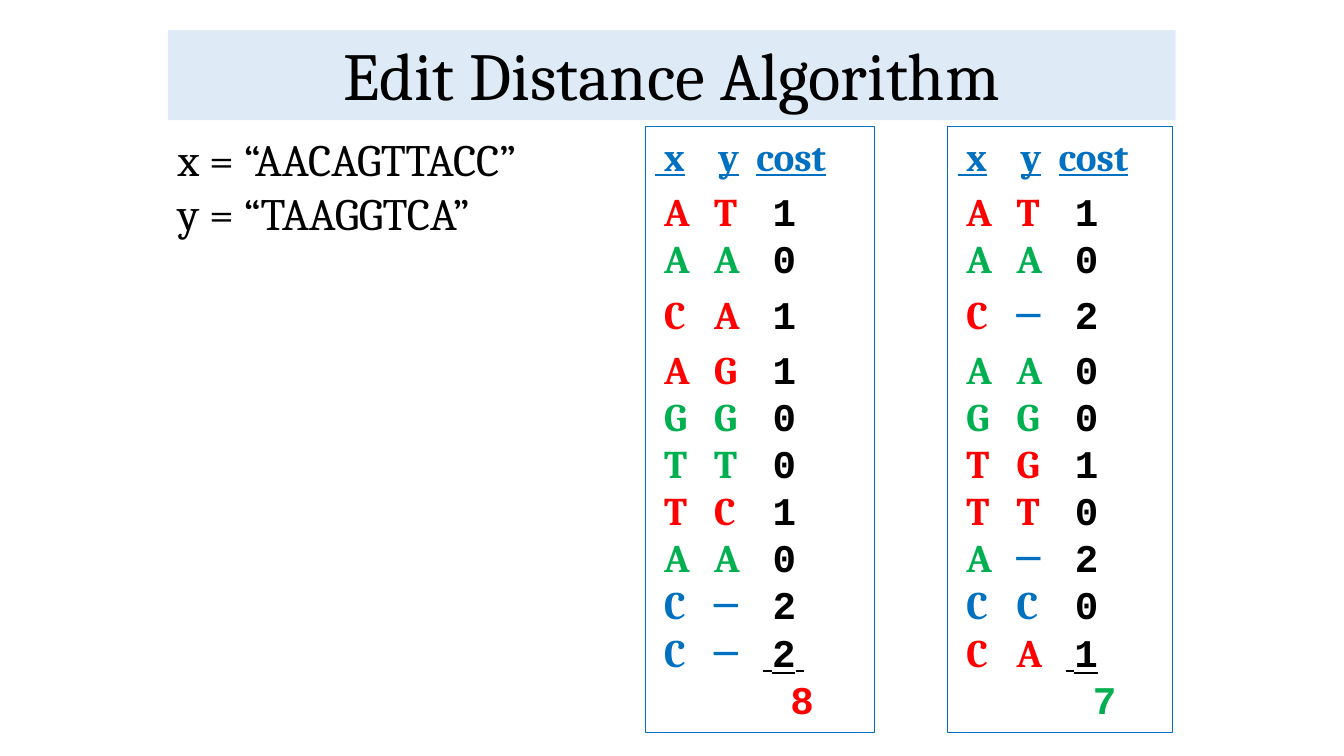
from dataclasses import dataclass
from lxml import etree
from pptx import Presentation
from pptx import util as u
from pptx.dml.color import RGBColor as Rgb
from pptx.enum import shapes, text
from pptx.oxml.ns import qn


@dataclass(frozen=True)
class Theme:
    serif: str = "Cambria"
    mono: str = "Courier New"
    sans: str = "Roboto"
    title: int = 48
    body: int = 32
    cell: int = 28
    black: str = "000000"
    blue: str = "0070C0"
    red: str = "FF0000"
    green: str = "00B050"
    band: str = "DEEBF7"


T = Theme()
GAP = "─"
HUES = {"r": T.red, "g": T.green, "b": T.blue}

# Tab stops in cm: y and cost columns for each kind of row
HEAD = (1.59, 2.54)
ROW = (1.48, 2.95)
LAST = (1.48, 2.72)
SUM = (3.4,)

# x, y, cost and colour of each step
LEFT = "AT1r AA0g CA1r AG1r GG0g TT0g TC1r AA0g C─2b C─2b".split()
RIGHT = "AT1r AA0g C─2r AA0g GG0g TG1r TT0r A─2g CC0b CA1r".split()
SPACED = (0, 2, 3)  # steps with space above


def style(font, size=None, name=None, hue=None, bold=None, line=None):
    if size:
        font.size = u.Pt(size)
    if name:
        font.name = name
    if hue:
        font.color.rgb = Rgb.from_string(hue)
    if bold is not None:
        font.bold = bold
    if line is not None:
        font.underline = line


def add_run(para, words, name, hue, line=None):
    run = para.add_run()
    run.text = words
    style(run.font, name=name, hue=hue, line=line)


def set_tabs(para, stops):
    tabs = etree.SubElement(para._p.get_or_add_pPr(), qn("a:tabLst"))
    for stop in stops:
        etree.SubElement(tabs, qn("a:tab"), pos=str(u.Cm(stop)), algn="l")


def add_title(slide, x, y, w, h):
    band = slide.shapes.add_shape(shapes.MSO_SHAPE.RECTANGLE,
                                  u.Cm(x), u.Cm(y), u.Cm(w), u.Cm(h))
    band.shadow.inherit = False
    band.fill.solid()
    band.fill.fore_color.rgb = Rgb.from_string(T.band)
    band.line.fill.background()
    frame = band.text_frame
    frame.word_wrap = True
    frame.vertical_anchor = text.MSO_ANCHOR.BOTTOM
    para = frame.paragraphs[0]
    para.text = "Edit Distance Algorithm"
    para.alignment = text.PP_ALIGN.CENTER
    para.line_spacing = 0.9
    style(para.font, T.title, T.serif, T.black)


def add_words(slide, x, y, w, h):
    box = slide.shapes.add_textbox(u.Cm(x), u.Cm(y), u.Cm(w), u.Cm(h))
    frame = box.text_frame
    frame.word_wrap = True
    frame.text = "x = “AACAGTTACC”\ny = “TAAGGTCA”"
    for para in frame.paragraphs:
        style(para.font, T.body, T.serif, T.black)


def add_costs(slide, x, y, w, h, steps, tail, total, hue):
    box = slide.shapes.add_textbox(u.Cm(x), u.Cm(y), u.Cm(w), u.Cm(h))
    box.line.color.rgb = Rgb.from_string(T.blue)
    box.line.width = u.Pt(0.75)
    frame = box.text_frame
    frame.word_wrap = True
    frame.auto_size = text.MSO_AUTO_SIZE.SHAPE_TO_FIT_TEXT

    # Heading
    head = frame.paragraphs[0]
    set_tabs(head, HEAD)
    style(head.font, T.cell, T.serif, T.blue, True, True)
    head.add_run().text = " x\ty\tcost"

    # Steps
    for i, (a, b, cost, key) in enumerate(steps):
        last = i == len(steps) - 1
        para = frame.add_paragraph()
        if i in SPACED:
            para.space_before = u.Pt(6)
        set_tabs(para, LAST if last else ROW)
        style(para.font, T.cell, bold=True)
        add_run(para, f" {a}\t", T.serif, HUES[key])
        if b == GAP:
            add_run(para, f"{b}\t", T.sans, T.blue)
        else:
            add_run(para, f"{b}\t", T.serif, HUES[key])
        if last:
            add_run(para, " ", T.serif, T.black, True)
        add_run(para, cost, T.mono, T.black, last)
        if last and tail:
            add_run(para, tail, T.serif, T.black, True)

    # Total
    para = frame.add_paragraph()
    set_tabs(para, SUM)
    style(para.font, T.cell, T.mono, hue, True)
    para.add_run().text = f"\t{total}"


def main():
    deck = Presentation()
    deck.slide_width, deck.slide_height = u.Cm(33.87), u.Cm(19.05)
    slide = deck.slides.add_slide(deck.slide_layouts[6])
    add_title(slide, 4.23, 0.76, 25.4, 2.27)
    add_words(slide, 4.23, 3.2, 25.4, 5.84)
    add_costs(slide, 16.27, 3.2, 5.77, 15.27, LEFT, " ", 8, T.red)
    add_costs(slide, 23.89, 3.2, 5.65, 15.27, RIGHT, "", 7, T.green)
    deck.save("out.pptx")


if __name__ == "__main__":
    main()
